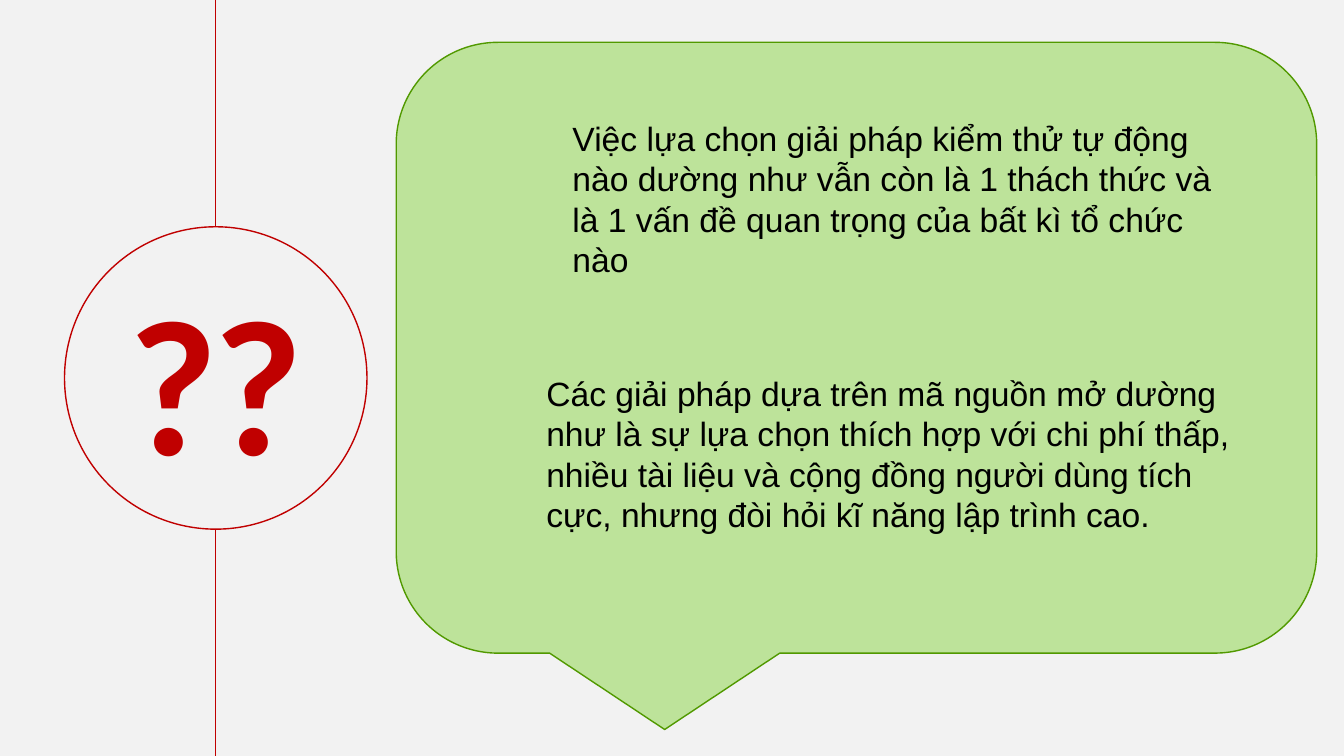
import pptx
import pptx.util
import pptx.dml.color
import pptx.enum.shapes
import pptx.enum.text
import pptx.oxml

# Content
MARK = "??"
NOTES = [  # text, left, top, width
    ("Việc lựa chọn giải pháp kiểm thử tự động nào dường như vẫn còn là 1 thách thức "
     "và là 1 vấn đề quan trọng của bất kì tổ chức nào", 5.58, 1.12, 6.67),
    ("Các giải pháp dựa trên mã nguồn mở dường như là sự lựa chọn thích hợp với chi phí "
     "thấp, nhiều tài liệu và cộng đồng người dùng tích cực, nhưng đòi hỏi kĩ năng lập "
     "trình cao.", 5.32, 3.65, 7.17),
]
NOTE_H = 1.72
RED, GREEN, DARK_GREEN = "C00000", "BDE39A", "519900"
BLACK, GREY = "000000", "F2F2F2"

# Layout: a circle centred vertically, on a line of full height
W, H = 13.33, 7.5
CIRCLE = 3
AXIS = 2.14
CIRCLE_TOP = (H - CIRCLE) / 2
MARK_SIZE = 2.42
BUBBLE = (3.93, 0.42, 9.13, 6.06)

SHAPE = pptx.enum.shapes.MSO_SHAPE
ANCHOR = pptx.enum.text.MSO_ANCHOR
FIT = pptx.enum.text.MSO_AUTO_SIZE


def inches(*values):
    return [pptx.util.Inches(v) for v in values]


def color(value):
    return pptx.dml.color.RGBColor.from_string(value)


def set_line(s, value, width):
    s.line.color.rgb = color(value)
    s.line.width = pptx.util.Pt(width)


def add_shape(kind, box, line, fill=None):
    s = slide.shapes.add_shape(kind, *inches(*box))
    s.shadow.inherit = False
    if fill:
        s.fill.solid()
        s.fill.fore_color.rgb = color(fill)
    else:
        s.fill.background()
    set_line(s, line, 1)
    return s


def write(s, text, font, size, value, bold=False):
    tf = s.text_frame
    tf.word_wrap = True
    tf.auto_size = FIT.SHAPE_TO_FIT_TEXT
    p = tf.paragraphs[0]
    p.add_run().text = text
    p.font.name, p.font.size, p.font.bold = font, pptx.util.Pt(size), bold
    p.font.color.rgb = color(value)
    return p


prs = pptx.Presentation()
prs.slide_width, prs.slide_height = inches(W, H)
slide = prs.slides.add_slide(prs.slide_layouts[5])
slide.background.fill.solid()
slide.background.fill.fore_color.rgb = color(GREY)

# Circle with the question marks as the title
add_shape(SHAPE.OVAL, (AXIS - CIRCLE / 2, CIRCLE_TOP, CIRCLE, CIRCLE), RED)
title = slide.shapes.title
title.left, title.top, title.width, title.height = inches(
    AXIS - MARK_SIZE / 2, (H - MARK_SIZE) / 2, MARK_SIZE, MARK_SIZE)
p = write(title, MARK, "Calibri", 138, RED, bold=True)
p.alignment = pptx.enum.text.PP_ALIGN.CENTER
p.runs[0].font._element.set("spc", "-300")
title.text_frame.vertical_anchor = ANCHOR.MIDDLE

# Line above and below the circle
for start, end in ((CIRCLE_TOP + CIRCLE, H), (0, CIRCLE_TOP)):
    s = slide.shapes.add_connector(pptx.enum.shapes.MSO_CONNECTOR.STRAIGHT,
                                   *inches(AXIS, start, AXIS, end))
    set_line(s, RED, 0.5)
    s._element.spPr.append(pptx.oxml.parse_xml(
        '<a:effectLst xmlns:a="http://schemas.openxmlformats.org/drawingml/2006/main"/>'))

# Speech bubble and its two notes
add_shape(SHAPE.ROUNDED_RECTANGULAR_CALLOUT, BUBBLE, DARK_GREEN, GREEN)
for text, left, top, width in NOTES:
    s = slide.shapes.add_textbox(*inches(left, top, width, NOTE_H))
    write(s, text, "Arial", 24, BLACK)

prs.save("out.pptx")
